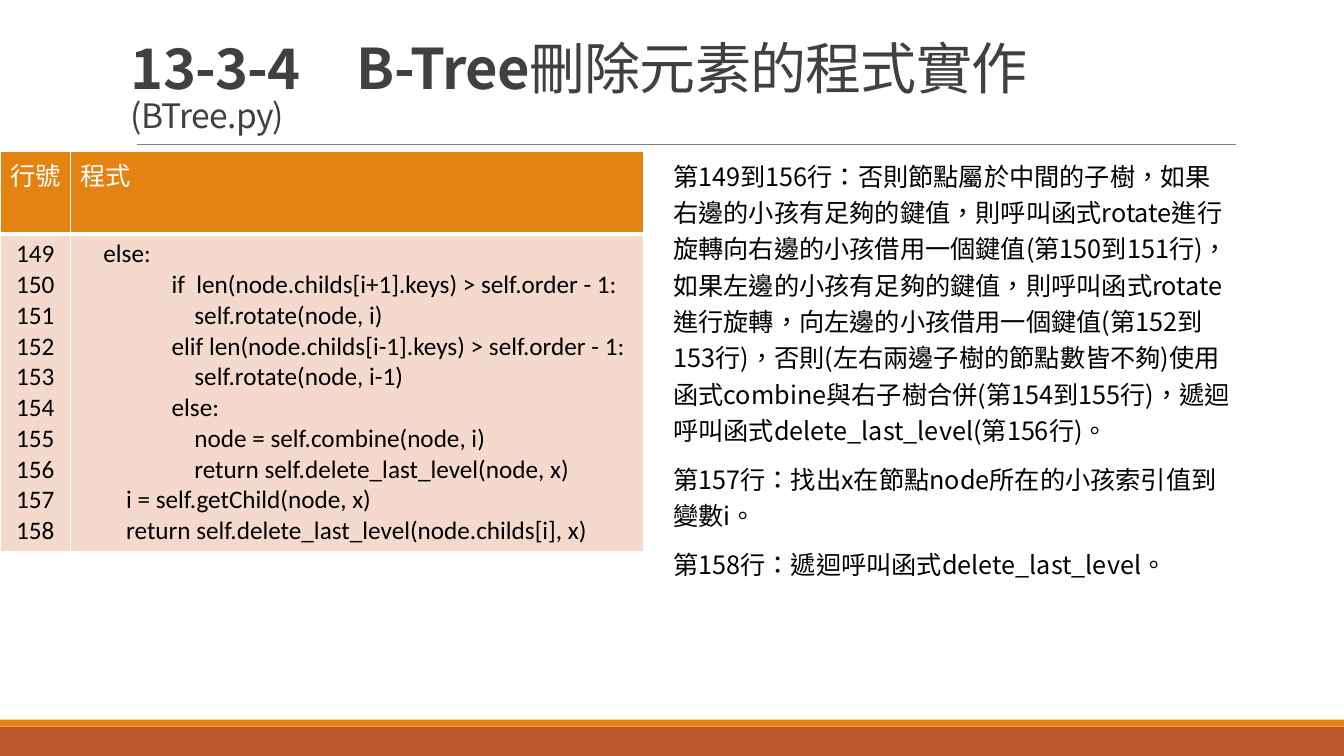
from lxml.etree import SubElement
from pptx import Presentation
from pptx.dml.color import RGBColor as RGB
from pptx.enum.shapes import MSO_CONNECTOR as CONN, MSO_SHAPE as SHAPE
from pptx.enum.text import MSO_ANCHOR as ANCHOR, PP_ALIGN as ALIGN
from pptx.oxml.ns import qn
from pptx.util import Inches, Pt

COLORS = {
    "orange": "E48312",
    "rust": "BD582C",
    "peach": "F5D9CC",
    "white": "FFFFFF",
    "black": "000000",
    "title": "404040",
    "rule": "808080",
}
SANS = "Noto Sans CJK SC"

CODE = [
    "    else:",
    "                if  len(node.childs[i+1].keys) > self.order - 1:",
    "                    self.rotate(node, i)",
    "                elif len(node.childs[i-1].keys) > self.order - 1:",
    "                    self.rotate(node, i-1)",
    "                else:",
    "                    node = self.combine(node, i)",
    "                    return self.delete_last_level(node, x)",
    "        i = self.getChild(node, x)",
    "        return self.delete_last_level(node.childs[i], x)",
]
FIRST_LINE = 149
NOTES = [
    "第149到156行：否則節點屬於中間的子樹，如果右邊的小孩有足夠的鍵值，"
    "則呼叫函式rotate進行旋轉向右邊的小孩借用一個鍵值(第150到151行)，"
    "如果左邊的小孩有足夠的鍵值，則呼叫函式rotate進行旋轉，"
    "向左邊的小孩借用一個鍵值(第152到153行)，"
    "否則(左右兩邊子樹的節點數皆不夠)使用函式combine與右子樹合併(第154到155行)，"
    "遞迴呼叫函式delete_last_level(第156行)。",
    "第157行：找出x在節點node所在的小孩索引值到變數i。",
    "第158行：遞迴呼叫函式delete_last_level。",
]


class SlideBuilder:
    """Draws styled elements on the current slide."""

    def __init__(self, slide):
        self.s = slide

    def color(self, name):
        return RGB.from_string(COLORS[name])

    def run(self, p, text, size=18, font=SANS, color="black", bold=False, spacing=None):
        r = p.add_run()
        r.text = text
        r.font.size = Pt(size)
        r.font.bold = bold
        r.font.name = font
        r.font.color.rgb = self.color(color)
        rpr = r._r.get_or_add_rPr()
        rpr.set("lang", "zh-TW")
        if spacing is not None:
            rpr.set("spc", str(round(spacing * 100)))
        SubElement(rpr, qn("a:ea")).set("typeface", SANS)

    def paragraphs(self, tf):
        yield tf.paragraphs[0]
        while True:
            yield tf.add_paragraph()

    def bar(self, top, height, color):
        sp = self.s.shapes.add_shape(
            SHAPE.RECTANGLE, 0, Inches(top), Inches(13.33), Inches(height))
        sp.shadow.inherit = False
        sp.fill.solid()
        sp.fill.fore_color.rgb = self.color(color)
        sp.line.fill.background()

    def rule(self, left, right, y):
        line = self.s.shapes.add_connector(
            CONN.STRAIGHT, Inches(left), Inches(y), Inches(right), Inches(y))
        line.line.color.rgb = self.color("rule")
        line.line.width = Pt(0.5)
        SubElement(line._element.spPr, qn("a:effectLst"))

    def textbox(self, left, top, width, height, anchor=ANCHOR.TOP):
        sp = self.s.shapes.add_textbox(
            Inches(left), Inches(top), Inches(width), Inches(height))
        tf = sp.text_frame
        tf.word_wrap = True
        tf.vertical_anchor = anchor
        return tf

    def title(self, number, topic, filename):
        tf = self.textbox(1.2, 0.31, 11, 1.08, ANCHOR.BOTTOM)
        p = tf.paragraphs[0]
        p.line_spacing = 0.85
        self.run(p, number, 40, color="title", bold=True, spacing=-0.5)
        self.run(p, topic, 40, color="title", spacing=-0.5)
        p.add_line_break()
        self.run(p, filename, 24, color="title", spacing=-0.5)

    def notes(self, texts):
        tf = self.textbox(6.58, 1.49, 5.77, 4.35)
        for i, (text, p) in enumerate(zip(texts, self.paragraphs(tf))):
            p.line_spacing = 1.2
            p.space_before = Pt(6 if i else 0)
            p.space_after = Pt(3)
            self.run(p, text)

    def cell(self, cell, lines, fill, color, align, bottom=1):
        cell.fill.solid()
        cell.fill.fore_color.rgb = self.color(fill)
        for text, p in zip(lines, self.paragraphs(cell.text_frame)):
            p.alignment = align
            self.run(p, text, font="Calibri", color=color)
        tcpr = cell._tc.get_or_add_tcPr()
        for i, (side, width) in enumerate(
                [("lnL", 1), ("lnR", 1), ("lnT", 1), ("lnB", bottom)]):
            ln = tcpr.makeelement(qn("a:" + side), {"w": str(Pt(width))})
            solid = SubElement(ln, qn("a:solidFill"))
            SubElement(solid, qn("a:srgbClr")).set("val", COLORS["white"])
            tcpr.insert(i, ln)

    def code_table(self, first, code):
        widths, heights = (0.7, 5.68), (0.82, 3.15)
        table = self.s.shapes.add_table(
            2, 2, 0, Inches(1.5), Inches(sum(widths)), Inches(sum(heights))).table
        for col, width in zip(table.columns, widths):
            col.width = Inches(width)
        for row, height in zip(table.rows, heights):
            row.height = Inches(height)
        numbers = [str(first + i) for i in range(len(code))]
        columns = [("行號", numbers, ALIGN.CENTER), ("程式", code, ALIGN.LEFT)]
        for c, (heading, lines, align) in enumerate(columns):
            self.cell(table.cell(0, c), [heading], "orange", "white", align, 3)
            self.cell(table.cell(1, c), lines, "peach", "black", align)


def main():
    prs = Presentation()
    prs.slide_width, prs.slide_height = Inches(13.33), Inches(7.5)
    b = SlideBuilder(prs.slides.add_slide(prs.slide_layouts[6]))
    b.bar(7.21, 0.29, "rust")
    b.bar(7.14, 0.07, "orange")
    b.rule(1.36, 12.26, 1.43)
    b.code_table(FIRST_LINE, CODE)
    b.notes(NOTES)
    b.title("13-3-4　B-Tree", "刪除元素的程式實作", "(BTree.py)")
    prs.save("out.pptx")


if __name__ == "__main__":
    main()
